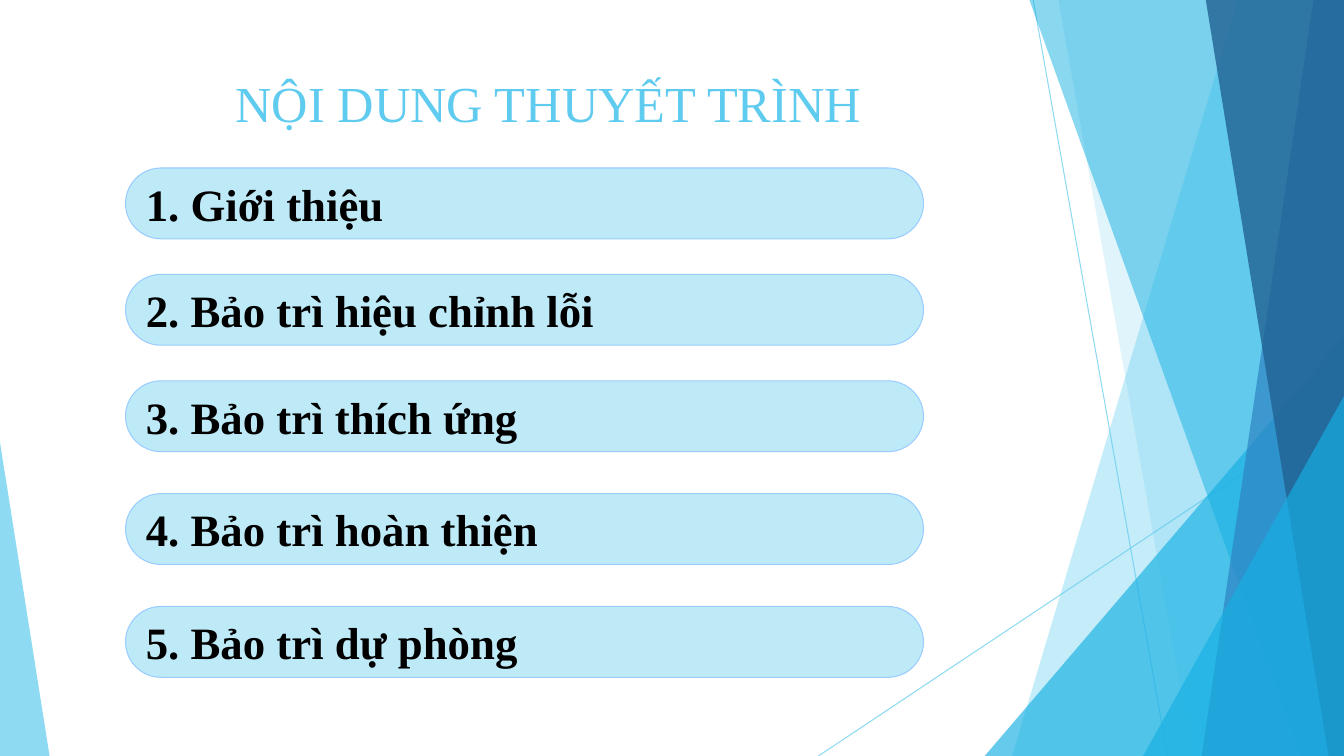
"""Build the agenda slide: a title, five rounded bars and a faceted blue backdrop."""
import pptx
import pptx.dml.color
import pptx.enum.shapes
import pptx.enum.text
import pptx.oxml.ns
import pptx.util
from lxml import etree

Pt = pptx.util.Pt
qn = pptx.oxml.ns.qn
MSO_SHAPE = pptx.enum.shapes.MSO_SHAPE
WIDTH, HEIGHT = 960, 540
FONT = "Times New Roman"
COLORS = {
    "sky": "5FCBEF",
    "cyan": "16B0E3",
    "blue": "2E83C3",
    "navy": "226292",
    "bar": "BEEAF8",
    "outline": "99CCFF",
    "text": "000000",
}


def paint(color_format, name):
    color_format.rgb = pptx.dml.color.RGBColor.from_string(COLORS[name])


def fade(shape, opacity):
    for color in shape.element.spPr.iter(qn("a:srgbClr")):
        etree.SubElement(color, qn("a:alpha"), val=str(opacity * 1000))


deck = pptx.Presentation()
deck.slide_width, deck.slide_height = Pt(WIDTH), Pt(HEIGHT)
page = deck.slides.add_slide(deck.slide_layouts[5])

for start_x, start_y, end_x in [(738, 0, 834), (WIDTH, 290, 584.6)]:
    ray = page.shapes.add_connector(
        pptx.enum.shapes.MSO_CONNECTOR.STRAIGHT,
        Pt(start_x), Pt(start_y), Pt(end_x), Pt(HEIGHT))
    paint(ray.line.color, "sky")
    ray.line.width = Pt(0.75)
    etree.SubElement(ray.element.spPr, qn("a:effectLst"))
    fade(ray, 70)

facets = [
    ("band", 884.2, 723, "sky", 36),
    ("band", 756, 851.8, "sky", 20),
    ("right corner", 703.4, 240, "cyan", 66),
    ("band", 735.3, 929.3, "cyan", 50),
    ("band", 938.2, 858.4, "blue", 70),
    ("band", 861.3, 949, "navy", 80),
    ("right corner", 816.5, 283, "cyan", 66),
    ("left corner", 0, 316, "sky", 70),
]
for kind, first, second, color, opacity in facets:
    if kind == "band":
        outline = page.shapes.build_freeform(Pt(first), 0)
        outline.add_line_segments([
            (Pt(WIDTH), 0), (Pt(WIDTH), Pt(HEIGHT)), (Pt(second), Pt(HEIGHT))])
        facet = outline.convert_to_shape()
    else:
        on_right = kind == "right corner"
        facet_width = WIDTH - first if on_right else 35.4
        facet = page.shapes.add_shape(
            MSO_SHAPE.ISOSCELES_TRIANGLE,
            Pt(first), Pt(second), Pt(facet_width), Pt(HEIGHT - second))
        facet.adjustments[0] = 1 if on_right else 0
    facet.shadow.inherit = False
    facet.fill.solid()
    paint(facet.fill.fore_color, color)
    facet.line.fill.background()
    fade(facet, opacity)

title = page.shapes.title
title.element.getparent().append(title.element)
title.left, title.top, title.width, title.height = Pt(53.3), Pt(48), Pt(677), Pt(104)
title.text_frame.text = "NỘI DUNG THUYẾT TRÌNH"
title.text_frame.auto_size = pptx.enum.text.MSO_AUTO_SIZE.NONE
title.text_frame.vertical_anchor = pptx.enum.text.MSO_ANCHOR.TOP
heading = title.text_frame.paragraphs[0]
heading.alignment = pptx.enum.text.PP_ALIGN.CENTER
span = heading.runs[0]
span.font.name, span.font.size = FONT, Pt(36)
paint(span.font.color, "sky")

topics = [
    (120, "1. Giới thiệu"),
    (196, "2. Bảo trì hiệu chỉnh lỗi"),
    (272, "3. Bảo trì thích ứng"),
    (352.6, "4. Bảo trì hoàn thiện"),
    (433.2, "5. Bảo trì dự phòng"),
]
for top, topic in topics:
    bar = page.shapes.add_shape(
        MSO_SHAPE.ROUNDED_RECTANGLE, Pt(89.7), Pt(top), Pt(570), Pt(50.6))
    bar.adjustments[0] = 0.5
    bar.shadow.inherit = False
    bar.fill.solid()
    paint(bar.fill.fore_color, "bar")
    paint(bar.line.color, "outline")
    bar.line.width = Pt(0.75)
    bar.text_frame.text = topic
    bar.text_frame.word_wrap = True
    bar.text_frame.vertical_anchor = pptx.enum.text.MSO_ANCHOR.MIDDLE
    para = bar.text_frame.paragraphs[0]
    para.alignment = pptx.enum.text.PP_ALIGN.LEFT
    span = para.runs[0]
    span.font.name, span.font.size, span.font.bold = FONT, Pt(32), True
    paint(span.font.color, "text")

deck.save("out.pptx")
